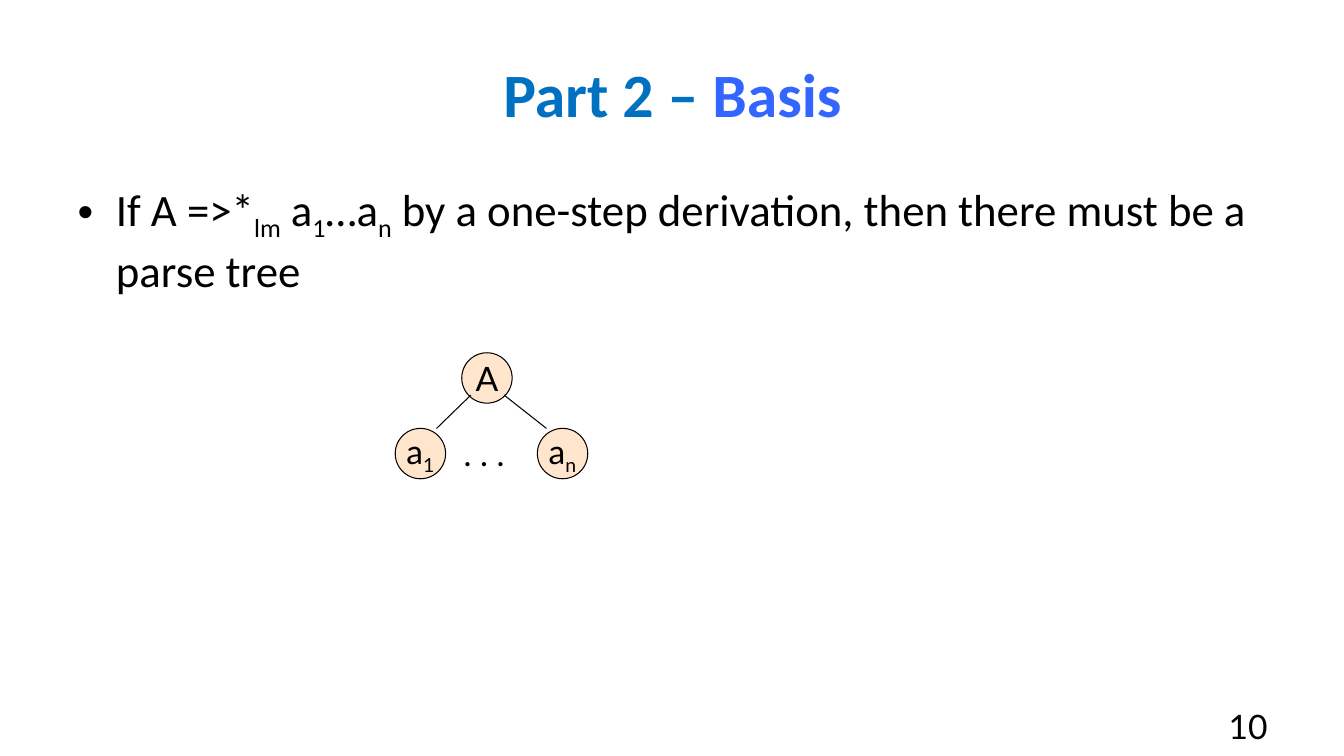
import dataclasses

import lxml.etree
import pptx
import pptx.dml.color
import pptx.enum.shapes
import pptx.enum.text
import pptx.oxml.ns
import pptx.util

Inches = pptx.util.Inches
Pt = pptx.util.Pt
Align = pptx.enum.text.PP_ALIGN
Anchor = pptx.enum.text.MSO_ANCHOR
qn = pptx.oxml.ns.qn


@dataclasses.dataclass(frozen=True)
class Theme:
    """Colours, fonts and type sizes of the slide."""
    ink: str = "000000"
    title: str = "0070C0"
    accent: str = "3366FF"
    node: str = "FFCC99"
    text_font: str = "Calibri"
    label_font: str = "Lato"
    title_size: int = 44
    body_size: int = 32
    label_size: int = 24
    line_width: float = 0.75


THEME = Theme()
NODE_SIZE = 0.5


def rgb(code):
    """Turn a hex code into a colour."""
    return pptx.dml.color.RGBColor.from_string(code)


def sub(text):
    """Describe a subscript span."""
    return text, {"subscript": True}


def add_span(para, text, *, size, font, color=THEME.ink, bold=False, subscript=False):
    """Add one formatted span of text to a paragraph."""
    span = para.add_run()
    span.text = text
    span.font.size = Pt(size)
    span.font.name = font
    span.font.bold = bold
    span.font.color.rgb = rgb(color)
    if subscript:
        span.font._element.set("baseline", "-25000")


def write(frame, spans, *, align=Align.LEFT, anchor=Anchor.TOP, wrap=True, bullet=None, **style):
    """Fill a text frame with one paragraph of (text, format) spans."""
    frame.word_wrap = wrap
    frame.auto_size = pptx.enum.text.MSO_AUTO_SIZE.NONE
    frame.vertical_anchor = anchor
    para = frame.paragraphs[0]
    para.alignment = align
    para.space_before = Pt(0)
    if bullet:
        properties = para._p.get_or_add_pPr()
        properties.set("marL", str(Inches(0.38)))
        properties.set("indent", str(-Inches(0.38)))
        lxml.etree.SubElement(properties, qn("a:buChar"), char=bullet)
    for text, changes in spans:
        add_span(para, text, **{**style, **changes})


def place(shape, left, top, width, height):
    """Move and size a shape, in inches."""
    shape.left, shape.top = Inches(left), Inches(top)
    shape.width, shape.height = Inches(width), Inches(height)


def add_label(shapes, spans, left, top, width, height, **layout):
    """Add a text box in the label style."""
    box = shapes.add_textbox(Inches(left), Inches(top), Inches(width), Inches(height))
    write(box.text_frame, spans, size=THEME.label_size, font=THEME.label_font, **layout)


def add_node(shapes, spans, left, top):
    """Add a half-transparent round tree node."""
    node = shapes.add_shape(pptx.enum.shapes.MSO_SHAPE.OVAL, Inches(left), Inches(top),
                            Inches(NODE_SIZE), Inches(NODE_SIZE))
    node.shadow.inherit = False
    node.fill.solid()
    node.fill.fore_color.rgb = rgb(THEME.node)
    color = node._element.spPr.find(qn("a:solidFill")).find(qn("a:srgbClr"))
    lxml.etree.SubElement(color, qn("a:alpha"), val="50000")
    node.line.color.rgb = rgb(THEME.ink)
    node.line.width = Pt(THEME.line_width)
    write(node.text_frame, spans, align=Align.CENTER, anchor=Anchor.MIDDLE, wrap=False,
          size=THEME.label_size, font=THEME.label_font)


def add_edge(shapes, start, end):
    """Add a straight tree edge between two points."""
    edge = shapes.add_connector(pptx.enum.shapes.MSO_CONNECTOR.STRAIGHT,
                                *map(Inches, (*start, *end)))
    edge.line.color.rgb = rgb(THEME.ink)
    edge.line.width = Pt(THEME.line_width)
    lxml.etree.SubElement(edge._element.spPr, qn("a:effectLst"))


def add_parse_tree(slide):
    """Draw the root, its first and last children, and the edges."""
    shapes = slide.shapes.add_group_shape().shapes
    child_top = 4.25
    add_node(shapes, [("A", {})], 4.58, 3.5)
    for left, index in ((3.92, "1"), (5.33, "n")):
        add_node(shapes, [("a", {}), sub(index)], left, child_top)
    add_label(shapes, [(". . .", {})], 4.5, child_top, 0.71, NODE_SIZE, wrap=False)
    for start, end in ((4.67, 4.33), (5, 5.42)):
        add_edge(shapes, (start, 3.92), (end, child_top))


def main():
    """Build and save the slide."""
    deck = pptx.Presentation()
    deck.slide_width, deck.slide_height = Inches(13.33), Inches(7.5)
    slide = deck.slides.add_slide(deck.slide_layouts[1])
    title, body = slide.placeholders

    place(title, 0.67, 0.3, 12, 1.25)
    write(title.text_frame, [("Part 2 – ", {}), ("Basis", {"color": THEME.accent})],
          align=Align.CENTER, anchor=Anchor.MIDDLE, size=THEME.title_size,
          font=THEME.text_font, color=THEME.title, bold=True)

    place(body, 0.67, 1.75, 12, 4.95)
    statement = [("If A =>*", {}), sub("lm"), (" a", {}), sub("1"), ("…a", {}), sub("n"),
                 (" by a one-step derivation, then there must be a parse tree", {})]
    write(body.text_frame, statement, bullet="•", size=THEME.body_size, font=THEME.text_font)

    add_parse_tree(slide)
    add_label(slide.shapes, [("10", {})], 9.56, 6.95, 3.11, 0.4, align=Align.RIGHT)
    deck.save("out.pptx")


if __name__ == "__main__":
    main()
